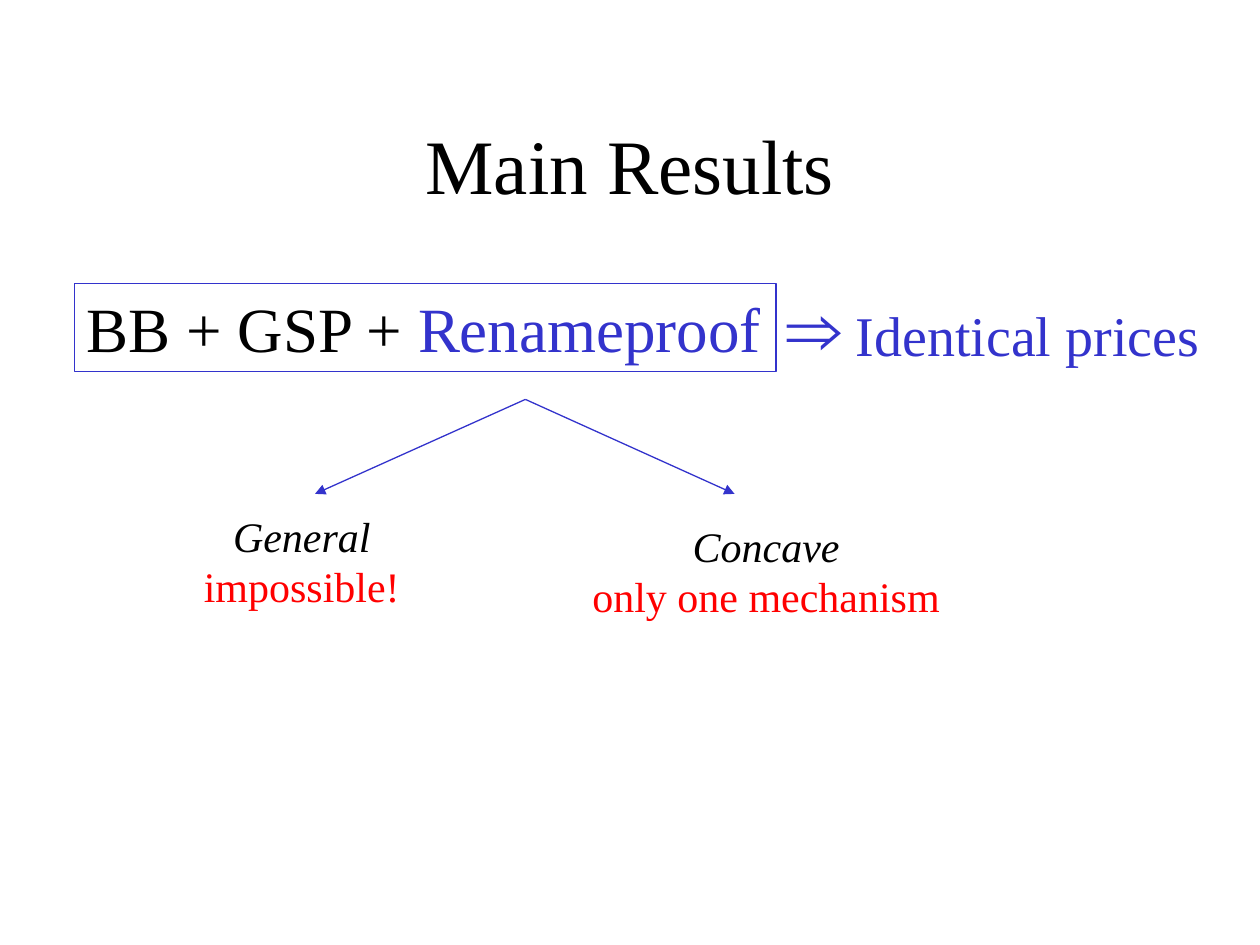
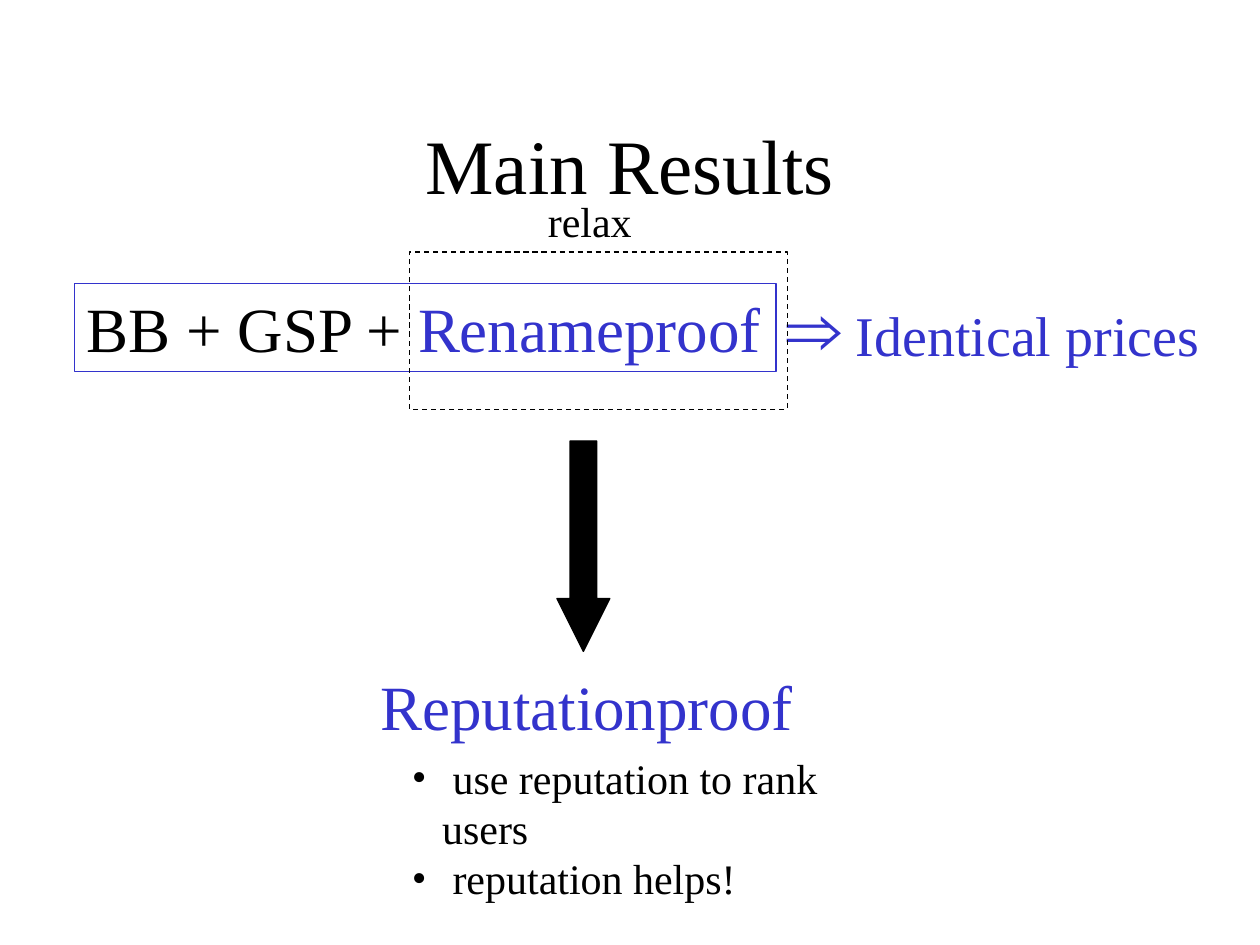
"""Build two slides on the main results for renameproof mechanisms."""
from lxml.etree import SubElement
from pptx import Presentation
from pptx.dml.color import RGBColor
from pptx.enum.dml import MSO_LINE
from pptx.enum.shapes import MSO_CONNECTOR, MSO_SHAPE
from pptx.enum.text import MSO_ANCHOR, PP_ALIGN
from pptx.oxml.ns import qn
from pptx.util import Inches, Pt

BLACK, BLUE, RED = "000000", "3333CC", "FF0000"
SERIF, SANS = "Times New Roman", "Arial"
LINE_WIDTH = Pt(0.74)


def color(target, value):
    target.rgb = RGBColor.from_string(value)


def write(shape, paragraphs, align=PP_ALIGN.LEFT, anchor=MSO_ANCHOR.TOP, wrap=False):
    frame = shape.text_frame
    frame.word_wrap = wrap
    frame.vertical_anchor = anchor
    frame.text = "\n".join("" for _ in paragraphs)
    for paragraph, pieces in zip(frame.paragraphs, paragraphs):
        paragraph.alignment = align
        for text, size, shade, face, italic in pieces:
            run = paragraph.add_run()
            run.text = text
            run.font.size = Pt(size)
            run.font.name = face
            run.font.italic = italic
            color(run.font.color, shade)
    return frame


prs = Presentation()
prs.slide_width, prs.slide_height = Inches(10), Inches(7.5)
results, relaxed = [prs.slides.add_slide(prs.slide_layouts[6]) for _ in range(2)]

for slide in (results, relaxed):
    title = slide.shapes.add_textbox(Inches(0.75), Inches(0.67), Inches(8.5), Inches(1.25))
    write(title, [[("Main Results", 44, BLACK, SERIF, False)]],
          PP_ALIGN.CENTER, MSO_ANCHOR.MIDDLE, True)

    conditions = slide.shapes.add_shape(
        MSO_SHAPE.RECTANGLE, Inches(0.59), Inches(2.25), Inches(5.57), Inches(0.7))
    conditions.shadow.inherit = False
    conditions.fill.background()
    conditions.line.width = LINE_WIDTH
    color(conditions.line.color, BLUE)
    write(conditions, [[("BB + GSP + ", 36, BLACK, SERIF, False),
                        ("Renameproof", 36, BLUE, SERIF, False)]])

    conclusion = slide.shapes.add_textbox(Inches(6.14), Inches(2.17), Inches(3.6), Inches(0.84))
    write(conclusion, [[("\u21d2", 44, BLUE, SANS, False),
                        (" Identical prices", 32, BLUE, SERIF, False)]])

cases = [
    ("General", "impossible!", 2.5, 1.49, 4, 1.81),
    ("Concave", "only one mechanism", 5.83, 4.57, 4.08, 3.02),
]
for case, outcome, tip, left, top, width in cases:
    branch = results.shapes.add_connector(
        MSO_CONNECTOR.STRAIGHT, Inches(4.17), Inches(3.17), Inches(tip), Inches(3.92))
    branch.line.width = LINE_WIDTH
    color(branch.line.color, BLUE)
    SubElement(branch.line._get_or_add_ln(), qn("a:tailEnd"), type="triangle")
    SubElement(branch._element.spPr, qn("a:effectLst"))
    finding = results.shapes.add_textbox(Inches(left), Inches(top), Inches(width), Inches(0.9))
    write(finding, [[(case, 24, BLACK, SERIF, True)],
                    [(outcome, 24, RED, SERIF, False)]], PP_ALIGN.CENTER)

focus = relaxed.shapes.add_shape(
    MSO_SHAPE.RECTANGLE, Inches(3.25), Inches(2), Inches(3), Inches(1.25))
focus.fill.background()
focus.line.dash_style = MSO_LINE.DASH

relax = relaxed.shapes.add_textbox(Inches(4.25), Inches(1.5), Inches(0.92), Inches(0.5))
write(relax, [[("relax", 24, BLACK, SERIF, False)]])

step = relaxed.shapes.add_shape(
    MSO_SHAPE.DOWN_ARROW, Inches(4.42), Inches(3.5), Inches(0.42), Inches(1.67))
step.adjustments[0], step.adjustments[1] = 0.5, 1
step.fill.solid()
color(step.fill.fore_color, BLACK)

for outline in (focus, step):
    outline.shadow.inherit = False
    outline.line.width = LINE_WIDTH
    color(outline.line.color, BLACK)

weaker = relaxed.shapes.add_textbox(Inches(2.92), Inches(5.25), Inches(3.55), Inches(0.7))
write(weaker, [[("Reputationproof", 36, BLUE, SERIF, False)]])

benefits = relaxed.shapes.add_textbox(Inches(3.17), Inches(5.92), Inches(4.06), Inches(0.9))
points = write(benefits, [[(" use reputation to rank users", 24, BLACK, SERIF, False)],
                          [(" reputation helps!", 24, BLACK, SERIF, False)]], wrap=True)
for point in points.paragraphs:
    layout = point._p.get_or_add_pPr()
    layout.set("marL", str(Inches(0.24)))
    layout.set("indent", str(-Inches(0.24)))
    SubElement(layout, qn("a:buFont"), typeface=SERIF)
    SubElement(layout, qn("a:buChar"), char="\u2022")

prs.save("out.pptx")
